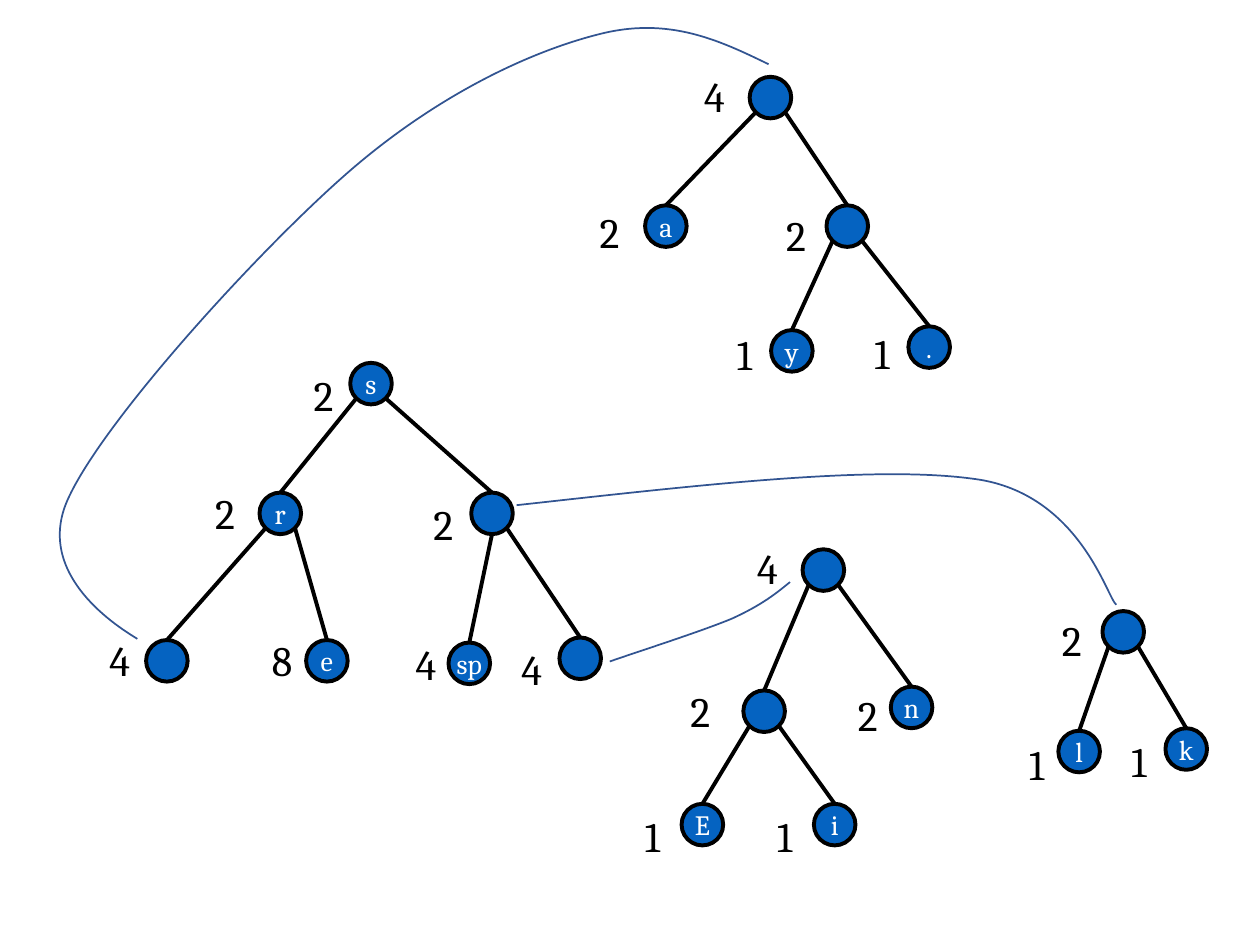
from dataclasses import dataclass
from math import sqrt

from lxml.etree import SubElement
from pptx import Presentation
from pptx.dml.color import RGBColor
from pptx.enum.shapes import MSO_CONNECTOR, MSO_SHAPE
from pptx.enum.text import MSO_ANCHOR, MSO_AUTO_SIZE, PP_ALIGN
from pptx.oxml.ns import qn
from pptx.util import Inches, Pt


@dataclass(frozen=True)
class Theme:
    font: str = "Cambria"
    node: RGBColor = RGBColor(0x05, 0x63, 0xC1)
    ink: RGBColor = RGBColor(0, 0, 0)
    letter: RGBColor = RGBColor(255, 255, 255)
    link: RGBColor = RGBColor(0x32, 0x54, 0x91)
    count_size: int = 24
    letter_size: int = 16
    edge_width: float = 2.25
    link_width: float = 1


theme = Theme()


def write(shape, text, *, size, color, align=PP_ALIGN.LEFT,
          anchor=MSO_ANCHOR.TOP, fit=MSO_AUTO_SIZE.NONE):
    frame = shape.text_frame
    frame.word_wrap = False
    frame.auto_size = fit
    frame.vertical_anchor = anchor
    paragraph = frame.paragraphs[0]
    paragraph.alignment = align
    run = paragraph.add_run()
    run.text = text
    run.font.name = theme.font
    run.font.size = Pt(size)
    run.font.color.rgb = color


deck = Presentation()
deck.slide_width, deck.slide_height = Inches(10), Inches(7.5)
slide = deck.slides.add_slide(deck.slide_layouts[6])

# Grid of 100 columns by 75 rows
column, row = deck.slide_width / 100, deck.slide_height / 75
diameter = round(3.3 * column)
radius = diameter / 2
count_width, count_height = round(3.9 * column), round(5 * row)

# Each node: parent index, side of the parent (-1 left, 0 middle, 1 right),
# column and row, count, column and row of the count, letter
main_tree = [
    (None, 0, 27.8, 28.8, "2", 23.9, 28.8, "s"),
    (0, -1, 20.6, 39.1, "2", 16.1, 38.2, "r"),
    (0, 1, 37.4, 39.1, "2", 33.4, 39.1, ""),
    (1, -1, 11.6, 50.8, "4", 7.7, 49.9, ""),
    (1, 1, 24.3, 50.8, "8", 20.6, 49.9, "e"),
    (2, 0, 35.6, 51.0, "4", 32.0, 50.2, "sp"),
    (2, 1, 44.4, 50.6, "4", 40.4, 50.6, ""),
]
middle_tree = [
    (None, 0, 63.7, 43.6, "4", 59.1, 42.6, ""),
    (0, -1, 59.0, 54.8, "2", 53.8, 53.9, ""),
    (0, 1, 70.7, 54.5, "2", 67.1, 54.2, "n"),
    (1, -1, 54.1, 63.8, "1", 50.2, 63.8, "E"),
    (1, 1, 64.6, 63.8, "1", 60.7, 63.8, "i"),
]
right_tree = [
    (None, 0, 87.5, 48.5, "2", 83.3, 48.3, ""),
    (0, -1, 84.0, 58.0, "1", 80.7, 58.1, "l"),
    (0, 1, 92.5, 57.8, "1", 88.8, 57.9, "k"),
]
top_tree = [
    (None, 0, 59.5, 6.1, "4", 54.9, 5.1, ""),
    (0, -1, 51.2, 16.3, "2", 46.6, 15.9, "a"),
    (0, 1, 65.6, 16.3, "2", 61.4, 16.1, ""),
    (2, -1, 61.2, 26.2, "1", 57.5, 25.6, "y"),
    (2, 1, 72.1, 25.9, "1", 68.4, 25.5, "."),
]

# Trees: the main one stands free, each subtree is a group
for tree in (main_tree, middle_tree, right_tree, top_tree):
    canvas = slide.shapes if tree is main_tree else slide.shapes.add_group_shape().shapes
    nodes = []
    for parent, side, x, y, count, count_x, count_y, letter in tree:
        # Node with its letter
        node = canvas.add_shape(MSO_SHAPE.OVAL, round(x * column), round(y * row),
                                diameter, diameter)
        node.shadow.inherit = False
        node.fill.solid()
        node.fill.fore_color.rgb = theme.node
        node.line.color.rgb = theme.ink
        node.line.width = Pt(theme.edge_width)
        if letter:
            write(node, letter, size=theme.letter_size, color=theme.letter,
                  align=PP_ALIGN.CENTER, anchor=MSO_ANCHOR.MIDDLE)
        nodes.append(node)

        # Count beside the node
        count_label = canvas.add_textbox(round(count_x * column), round(count_y * row),
                                         count_width, count_height)
        write(count_label, count, size=theme.count_size, color=theme.ink,
              fit=MSO_AUTO_SIZE.SHAPE_TO_FIT_TEXT)

        # Edge from the top of the node to the rim of its parent
        if parent is not None:
            upper = nodes[parent]
            drop = radius / sqrt(2) if side else radius
            edge = canvas.add_connector(
                MSO_CONNECTOR.STRAIGHT,
                round(node.left + radius), node.top,
                round(upper.left + radius + side * radius / sqrt(2)),
                round(upper.top + radius + drop))
            edge.begin_connect(node, 0)
            edge.line.color.rgb = theme.ink
            edge.line.width = Pt(theme.edge_width)
            SubElement(edge._element.spPr, qn("a:effectLst"))

# Curved links: left, top, right and bottom of the curve, then a start point
# followed by two handles and an end for each cubic piece
links = [
    ((4.8, 2.2, 61, 50.7),
     [(61, 5.1), (57.1, 3.2), (53.1, 1.3), (47.6, 2.7),
      (42, 4.1), (34.6, 7.6), (27.6, 13.7),
      (20.5, 19.9), (8.2, 33.4), (5.4, 39.6),
      (2.6, 45.7), (9.6, 49.9), (10.9, 50.7)]),
    ((48.4, 46.2, 62.7, 52.5),
     [(62.7, 46.2), (61.6, 47.1), (60.5, 48), (58.1, 49.1),
      (55.7, 50.1), (50.7, 51.7), (48.4, 52.5)]),
    ((41, 37.7, 88.6, 48),
     [(41, 40.1), (55.5, 38.5), (69.9, 36.8), (77.9, 38.1),
      (85.8, 39.5), (87.9, 47.5), (88.6, 48)]),
]
for (left, top, right, bottom), points in links:
    builder = slide.shapes.build_freeform(round(left * column), round(top * row))
    builder.add_line_segments([(round(right * column), round(bottom * row))], close=False)
    link = builder.convert_to_shape()
    link.shadow.inherit = False
    link.fill.background()
    link.line.color.rgb = theme.link
    link.line.width = Pt(theme.link_width)

    # Swap the straight diagonal for the cubic pieces
    outline = next(link._element.iter(qn("a:path")))
    for segment in list(outline):
        outline.remove(segment)
    for index, (x, y) in enumerate(points):
        if index == 0:
            segment = SubElement(outline, qn("a:moveTo"))
        elif index % 3 == 1:
            segment = SubElement(outline, qn("a:cubicBezTo"))
        SubElement(segment, qn("a:pt"), x=str(round((x - left) * column)),
                   y=str(round((y - top) * row)))

deck.save("out.pptx")
